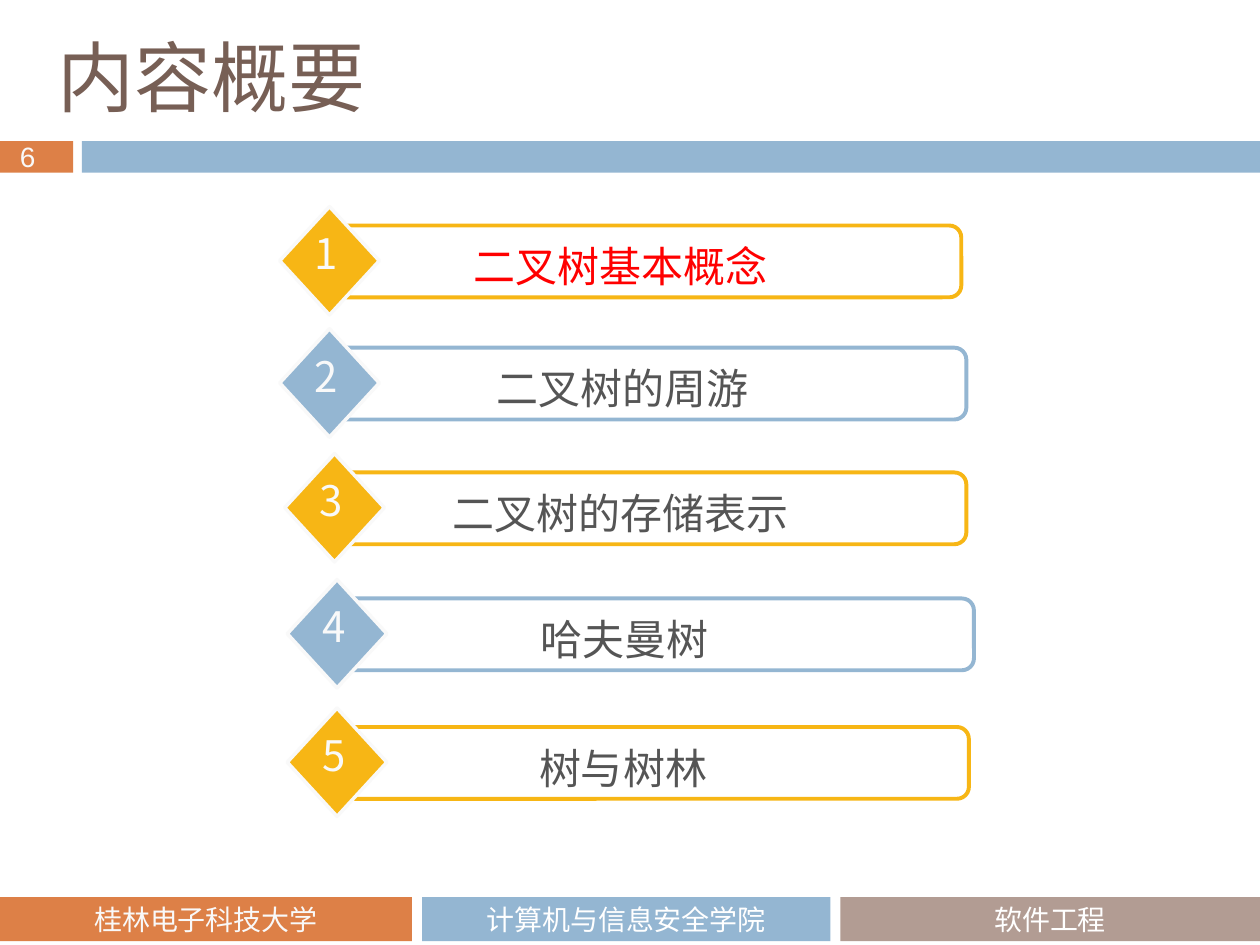
from dataclasses import dataclass

from lxml import etree
from pptx import Presentation
from pptx.dml.color import RGBColor
from pptx.enum import shapes, text
from pptx.oxml.ns import qn
from pptx.util import Inches, Pt


@dataclass(frozen=True)
class Theme:
    orange: str = "DD8047"
    blue: str = "94B6D2"
    taupe: str = "B29C93"
    gold: str = "F7B615"
    brown: str = "775F55"
    gray: str = "555555"
    red: str = "FF0000"
    white: str = "FFFFFF"
    off_white: str = "F9F9F9"
    title_font: str = "Noto Sans CJK JP"
    item_font: str = "Noto Sans CJK SC"
    footer_font: str = "Calibri"
    number_font: str = "Arial"
    title_size: int = 44
    item_size: int = 24
    small_size: int = 16
    bar_line: float = 2.25
    diamond_line: float = 2


THEME = Theme()


@dataclass(frozen=True)
class Box:
    left: float
    top: float
    width: float
    height: float

    def lengths(self) -> tuple:
        return tuple(Inches(n) for n in (self.left, self.top, self.width, self.height))


@dataclass(frozen=True)
class TextStyle:
    font: str
    size: float
    color: str
    centered: bool = True
    wrap: bool = True
    middle: bool = False


@dataclass(frozen=True)
class FooterCell:
    label: str
    left: float
    width: float
    fill: str
    color: str


@dataclass(frozen=True)
class AgendaItem:
    label: str
    left: float
    top: float
    bar_width: float
    label_left: float
    label_width: float
    accent: str
    color: str = THEME.gray


FOOTER = [
    FooterCell("桂林电子科技大学", 0, 3.27, THEME.orange, THEME.off_white),
    FooterCell("计算机与信息安全学院", 3.35, 3.24, THEME.blue, THEME.white),
    FooterCell("软件工程", 6.67, 3.33, THEME.taupe, THEME.white),
]

AGENDA = [
    AgendaItem("二叉树基本概念", 2.22, 1.64, 4.97, 2.96, 3.93, THEME.gold, THEME.red),
    AgendaItem("二叉树的周游", 2.22, 2.61, 5.01, 3.2, 3.48, THEME.blue),
    AgendaItem("二叉树的存储表示", 2.26, 3.6, 4.97, 2.96, 3.93, THEME.gold),
    AgendaItem("哈夫曼树", 2.28, 4.6, 5.01, 2.98, 3.95, THEME.blue),
    AgendaItem("树与树林", 2.28, 5.62, 4.97, 2.98, 3.93, THEME.gold),
]


def write_text(shape, content: str, style: TextStyle) -> None:
    frame = shape.text_frame
    frame.word_wrap = style.wrap
    frame.vertical_anchor = text.MSO_ANCHOR.MIDDLE if style.middle else text.MSO_ANCHOR.TOP
    paragraph = frame.paragraphs[0]
    paragraph.text = content
    paragraph.alignment = text.PP_ALIGN.CENTER if style.centered else text.PP_ALIGN.LEFT
    font = paragraph.font
    font.name = style.font
    font.size = Pt(style.size)
    font.color.rgb = RGBColor.from_string(style.color)
    # East Asian characters take their own typeface entry
    properties = paragraph._p.pPr.find(qn("a:defRPr"))
    etree.SubElement(properties, qn("a:ea")).set("typeface", style.font)


def add_text(slide, box: Box, content: str, style: TextStyle) -> None:
    write_text(slide.shapes.add_textbox(*box.lengths()), content, style)


def add_block(slide, kind, box: Box, fill: str | None = None,
              line: str | None = None, line_width: float = 0):
    shape = slide.shapes.add_shape(kind, *box.lengths())
    shape.shadow.inherit = False
    if fill:
        shape.fill.solid()
        shape.fill.fore_color.rgb = RGBColor.from_string(fill)
    else:
        shape.fill.background()
    if line:
        shape.line.color.rgb = RGBColor.from_string(line)
        shape.line.width = Pt(line_width)
    else:
        shape.line.fill.background()
    return shape


def add_agenda_item(slide, number: int, item: AgendaItem) -> None:
    left, top = item.left, item.top
    add_block(slide, shapes.MSO_SHAPE.ROUNDED_RECTANGLE,
              Box(left + 0.44, top + 0.15, item.bar_width, 0.57),
              line=item.accent, line_width=THEME.bar_line)
    add_block(slide, shapes.MSO_SHAPE.DIAMOND, Box(left, top, 0.79, 0.86),
              item.accent, THEME.off_white, THEME.diamond_line)
    add_text(slide, Box(item.label_left, top + 0.22, item.label_width, 0.5), item.label,
             TextStyle(THEME.item_font, THEME.item_size, item.color))
    add_text(slide, Box(left + 0.18, top + 0.12, 0.37, 0.5), str(number),
             TextStyle(THEME.item_font, THEME.item_size, THEME.off_white, wrap=False))


def main() -> None:
    presentation = Presentation()
    presentation.slide_width = Inches(10)
    presentation.slide_height = Inches(7.5)
    slide = presentation.slides.add_slide(presentation.slide_layouts[6])
    rectangle = shapes.MSO_SHAPE.RECTANGLE

    # Header band with page number
    add_block(slide, rectangle, Box(0, 1.12, 0.58, 0.25), THEME.orange)
    add_block(slide, rectangle, Box(0.65, 1.12, 9.35, 0.25), THEME.blue)
    add_text(slide, Box(0.06, 1.06, 0.48, 0.37), "6",
             TextStyle(THEME.number_font, THEME.small_size, THEME.off_white,
                       centered=False, wrap=False))

    # Title
    add_text(slide, Box(0.36, 0.27, 5.67, 0.66), "内容概要",
             TextStyle(THEME.title_font, THEME.title_size, THEME.brown,
                       centered=False, middle=True))

    # Footer
    for cell in FOOTER:
        block = add_block(slide, rectangle, Box(cell.left, 7.12, cell.width, 0.35), cell.fill)
        write_text(block, cell.label, TextStyle(THEME.footer_font, THEME.small_size,
                                                cell.color, middle=True))

    # Agenda
    for number, item in enumerate(AGENDA, start=1):
        add_agenda_item(slide, number, item)

    presentation.save("out.pptx")


if __name__ == "__main__":
    main()
